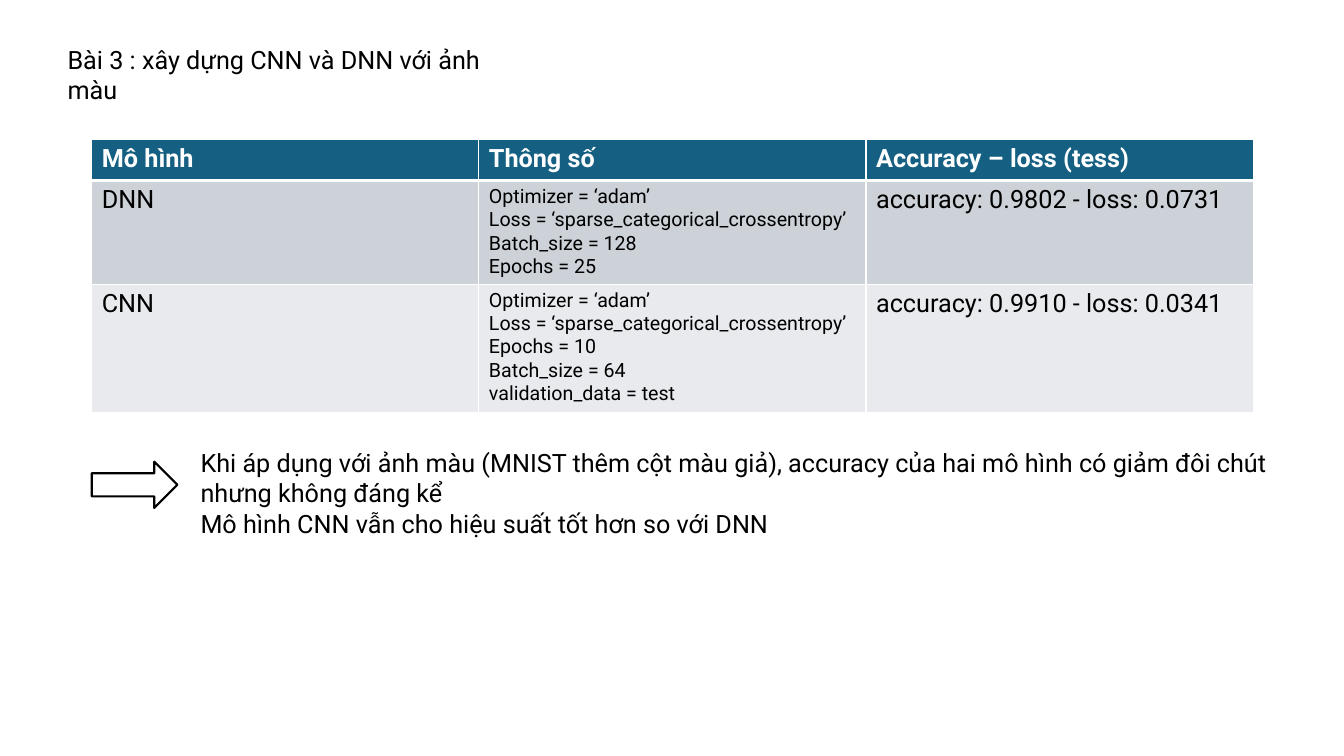
from lxml import etree
from pptx import Presentation
from pptx.dml.color import RGBColor
from pptx.enum.shapes import MSO_SHAPE
from pptx.enum.text import MSO_ANCHOR, MSO_AUTO_SIZE, PP_ALIGN
from pptx.oxml.ns import qn
from pptx.util import Inches, Pt

RIGHT_ARROW = MSO_SHAPE.RIGHT_ARROW
TOP = MSO_ANCHOR.TOP
NO_AUTOFIT = MSO_AUTO_SIZE.NONE
LEFT = PP_ALIGN.LEFT

BLACK = RGBColor(0x00, 0x00, 0x00)
WHITE = RGBColor(0xFF, 0xFF, 0xFF)
TEAL = RGBColor(0x15, 0x60, 0x82)
GREY = RGBColor(0xCC, 0xD2, 0xD8)
PALE_GREY = RGBColor(0xE8, 0xEA, 0xED)


def write_text(frame, text, size=18, color=BLACK, bold=False):
    frame.word_wrap = True
    for index, line in enumerate(text.split("\n")):
        para = frame.paragraphs[0] if index == 0 else frame.add_paragraph()
        para.alignment = LEFT
        span = para.add_run()
        span.text = line
        span.font.name = "Roboto"
        span.font.size = Pt(size)
        span.font.bold = bold
        span.font.color.rgb = color


def add_border(cell, side, width):
    properties = cell._tc.get_or_add_tcPr()
    line = etree.SubElement(properties, qn(f"a:ln{side}"), w=str(Pt(width)))
    fill = etree.SubElement(line, qn("a:solidFill"))
    etree.SubElement(fill, qn("a:srgbClr"), val=str(WHITE))


deck = Presentation()
deck.slide_width = Inches(13.33)
deck.slide_height = Inches(7.5)
page = deck.slides.add_slide(deck.slide_layouts[5])

title = page.shapes.title
title.left, title.top = Inches(0.57), Inches(0.39)
title.width, title.height = Inches(4.71), Inches(0.4)
title.text_frame.auto_size = NO_AUTOFIT
title.text_frame.vertical_anchor = TOP
write_text(title.text_frame, "Bài 3 : xây dựng CNN và DNN với ảnh màu")

results = [
    ("Mô hình", "Thông số", "Accuracy – loss (tess)"),
    (
        "DNN",
        "Optimizer = ‘adam’\nLoss = ‘sparse_categorical_crossentropy’\n"
        "Batch_size = 128\nEpochs = 25",
        "accuracy: 0.9802 - loss: 0.0731",
    ),
    (
        "CNN",
        "Optimizer = ‘adam’\nLoss = ‘sparse_categorical_crossentropy’\n"
        "Epochs = 10\nBatch_size = 64\nvalidation_data = test",
        "accuracy: 0.9910 - loss: 0.0341",
    ),
]
row_heights = [0.41, 1.03, 1.27]
row_fills = [TEAL, GREY, PALE_GREY]

table = page.shapes.add_table(
    3, 3, Inches(0.91), Inches(1.38), Inches(11.52), Inches(2.71)
).table
for row, texts in enumerate(results):
    table.rows[row].height = Inches(row_heights[row])
    header = row == 0
    for column, text in enumerate(texts):
        cell = table.cell(row, column)
        for side in "LRTB":
            thick = (header and side == "B") or (row == 1 and side == "T")
            add_border(cell, side, 3 if thick else 1)
        cell.fill.solid()
        cell.fill.fore_color.rgb = row_fills[row]
        write_text(
            cell.text_frame,
            text,
            size=14 if column == 1 and not header else 18,
            color=WHITE if header else BLACK,
            bold=header,
        )

conclusion = page.shapes.add_textbox(
    Inches(1.89), Inches(4.39), Inches(10.85), Inches(1.01)
)
write_text(
    conclusion.text_frame,
    "Khi áp dụng với ảnh màu (MNIST thêm cột màu giả), accuracy của hai mô hình "
    "có giảm đôi chút nhưng không đáng kể\n"
    "Mô hình CNN vẫn cho hiệu suất tốt hơn so với DNN",
)

arrow = page.shapes.add_shape(
    RIGHT_ARROW, Inches(0.91), Inches(4.58), Inches(0.85), Inches(0.46)
)
arrow.shadow.inherit = False
arrow.fill.solid()
arrow.fill.fore_color.rgb = WHITE
arrow.line.color.rgb = BLACK
arrow.line.width = Pt(1.5)

deck.save("out.pptx")
